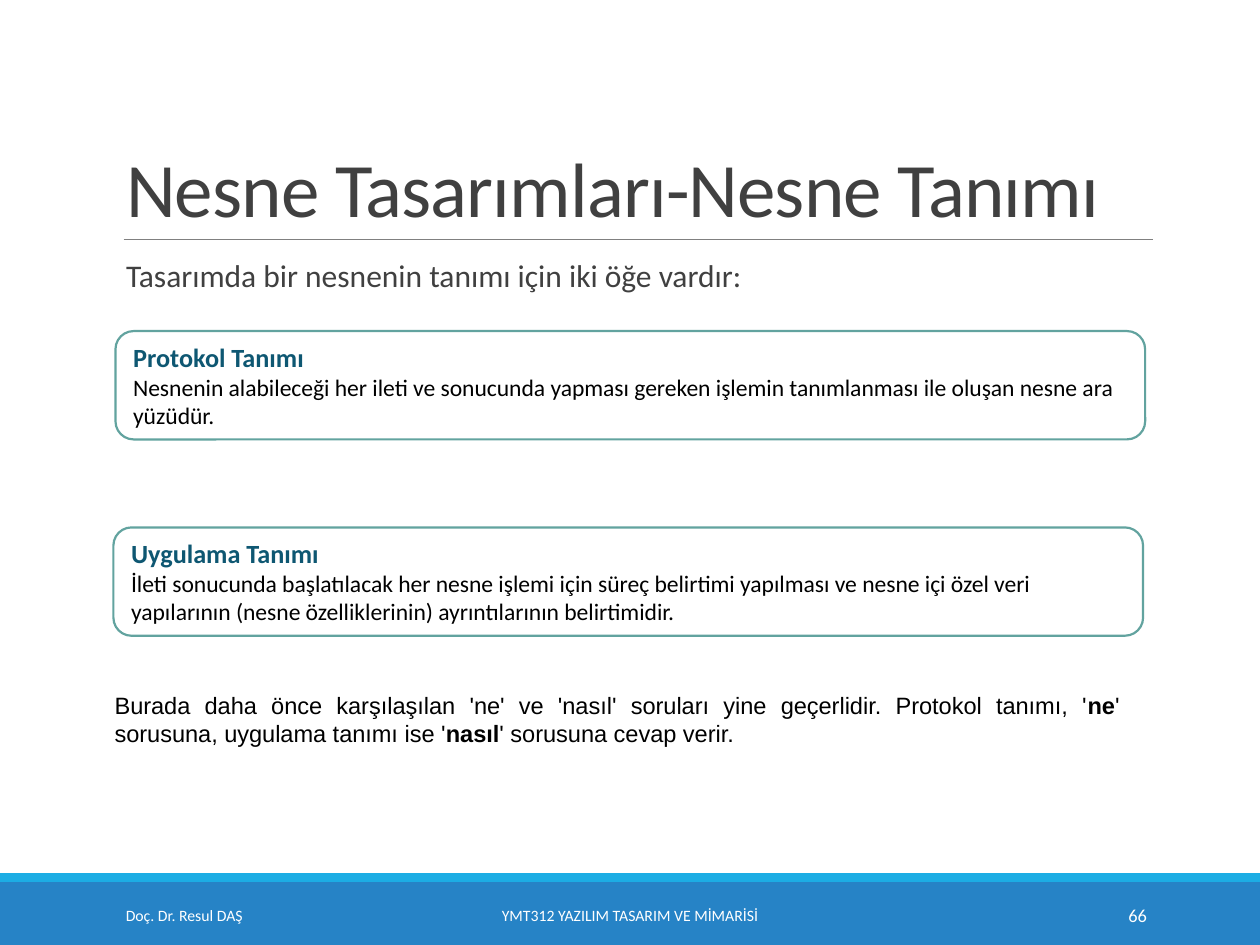
import pptx
import pptx.dml.color
import pptx.enum.shapes
import pptx.enum.text
import pptx.oxml.ns
import pptx.util
from lxml import etree

Pt = pptx.util.Pt
ALIGN = pptx.enum.text.PP_ALIGN
ANCHOR = pptx.enum.text.MSO_ANCHOR
SHAPES = pptx.enum.shapes.MSO_SHAPE

WHITE, BLACK, GREY = "FFFFFF", "000000", "404040"
HEADING = {"size": Pt(15), "bold": True, "color": "0E5772"}
DETAIL = {"size": Pt(13.5), "color": BLACK}


def rgb(value):
    return pptx.dml.color.RGBColor.from_string(value)


def apply(target, values):
    for name, value in values.items():
        setattr(target, name, value)


def place(shape, box):
    apply(shape, dict(zip(("left", "top", "width", "height"), map(Pt, box))))


def add_run(paragraph, text, color, name="Calibri", **values):
    run = paragraph.add_run()
    run.text = text
    apply(run.font, {"name": name, **values})
    run.font.color.rgb = rgb(color)
    return run


def prepare_frame(shape, **values):
    frame = shape.text_frame
    apply(frame, {"word_wrap": True,
                  "auto_size": pptx.enum.text.MSO_AUTO_SIZE.NONE, **values})
    return frame


def add_box(slide, preset, box, fill, line=None):
    shape = slide.shapes.add_shape(preset, *map(Pt, box))
    shape.shadow.inherit = False
    shape.fill.solid()
    shape.fill.fore_color.rgb = rgb(fill)
    if line:
        shape.line.color.rgb = rgb(line)
        shape.line.width = Pt(1.25)
    else:
        shape.line.fill.background()
    return shape


def add_title(slide, box, text):
    """Fill the title and rule off its lower edge."""
    left, top, width, height = box
    title = slide.shapes.title
    place(title, box)
    paragraph = prepare_frame(title, vertical_anchor=ANCHOR.BOTTOM).paragraphs[0]
    apply(paragraph, {"alignment": ALIGN.LEFT, "line_spacing": 0.85})
    run = add_run(paragraph, text, GREY, size=Pt(44))
    run.font._element.set("spc", "-50")

    bottom = top + height
    rule = slide.shapes.add_connector(
        pptx.enum.shapes.MSO_CONNECTOR.STRAIGHT,
        Pt(left + 5.8), Pt(bottom), Pt(left + width), Pt(bottom))
    rule.line.color.rgb = rgb("808080")
    rule.line.width = Pt(0.5)
    etree.SubElement(rule._element.spPr, pptx.oxml.ns.qn("a:effectLst"))


def add_body(slide, box, text):
    body = slide.placeholders[1]
    place(body, box)
    frame = prepare_frame(body, margin_left=0, margin_right=0,
                          vertical_anchor=ANCHOR.TOP)
    paragraph = frame.paragraphs[0]
    apply(paragraph, {"line_spacing": 0.9, "space_before": Pt(0),
                      "space_after": Pt(2)})
    properties = paragraph._p.get_or_add_pPr()
    properties.set("marL", str(Pt(7.2)))
    properties.set("indent", str(-Pt(7.2)))
    bullet = etree.SubElement(properties, pptx.oxml.ns.qn("a:buChar"))
    bullet.set("char", " ")
    add_run(paragraph, text, GREY, size=Pt(18))


def add_definition(slide, box, heading, detail):
    shape = add_box(slide, SHAPES.ROUNDED_RECTANGLE, box, WHITE, "62A39F")
    frame = prepare_frame(shape, vertical_anchor=ANCHOR.MIDDLE)
    for index, (text, style) in enumerate(((heading, HEADING), (detail, DETAIL))):
        paragraph = frame.add_paragraph() if index else frame.paragraphs[0]
        paragraph.alignment = ALIGN.LEFT
        add_run(paragraph, text, **style)


def add_note(slide, box, parts):
    """Add justified text in which every second part is bold."""
    shape = slide.shapes.add_textbox(*map(Pt, box))
    paragraph = prepare_frame(shape).paragraphs[0]
    paragraph.alignment = ALIGN.JUSTIFY
    for index, text in enumerate(parts):
        add_run(paragraph, text, name="Arial", bold=index % 2 == 1, **DETAIL)


def add_footer(slide, box, author, course, number):
    left, top, width, height = box
    add_box(slide, SHAPES.RECTANGLE, box, "2683C6")
    add_box(slide, SHAPES.RECTANGLE, (left, top - 5, width, 5), "1CADE4")
    fields = (
        (author, 64.8, 146.2, ALIGN.LEFT, 9),
        (course, 217.4, 285.1, ALIGN.CENTER, 9),
        (number, 584.6, 77.8, ALIGN.RIGHT, 10.5),
    )
    for text, offset, field_width, alignment, size in fields:
        shape = slide.shapes.add_textbox(
            Pt(left + offset), Pt(top + 4.5), Pt(field_width), Pt(28.8))
        frame = prepare_frame(shape, vertical_anchor=ANCHOR.MIDDLE)
        paragraph = frame.paragraphs[0]
        paragraph.alignment = alignment
        add_run(paragraph, text, WHITE, size=Pt(size))


def main():
    presentation = pptx.Presentation()
    apply(presentation, {"slide_width": Pt(720), "slide_height": Pt(540)})
    slide = presentation.slides.add_slide(presentation.slide_layouts[1])

    add_footer(slide, (0, 504, 720, 36), "Doç. Dr. Resul DAŞ",
               "YMT312 YAZILIM TASARIM VE MİMARİSİ", "66")
    add_title(slide, (64.8, 22.6, 594, 114.2), "Nesne Tasarımları-Nesne Tanımı")
    add_body(slide, (64.8, 145.4, 594, 316.8),
             "Tasarımda bir nesnenin tanımı için iki öğe vardır:")
    add_definition(
        slide, (66, 189.2, 588.4, 61.9), "Protokol Tanımı",
        "Nesnenin alabileceği her ileti ve sonucunda yapması gereken işlemin "
        "tanımlanması ile oluşan nesne ara yüzüdür.")
    add_definition(
        slide, (64.8, 301.4, 588.4, 61.9), "Uygulama Tanımı",
        "İleti sonucunda başlatılacak her nesne işlemi için süreç belirtimi "
        "yapılması ve nesne içi özel veri yapılarının (nesne özelliklerinin) "
        "ayrıntılarının belirtimidir.")
    add_note(slide, (58.4, 391, 588.4, 40.3), (
        "Burada daha önce karşılaşılan 'ne' ve 'nasıl' soruları yine "
        "geçerlidir. Protokol tanımı, '", "ne",
        "' sorusuna, uygulama tanımı ise '", "nasıl",
        "' sorusuna cevap verir."))
    presentation.save("out.pptx")


if __name__ == "__main__":
    main()
